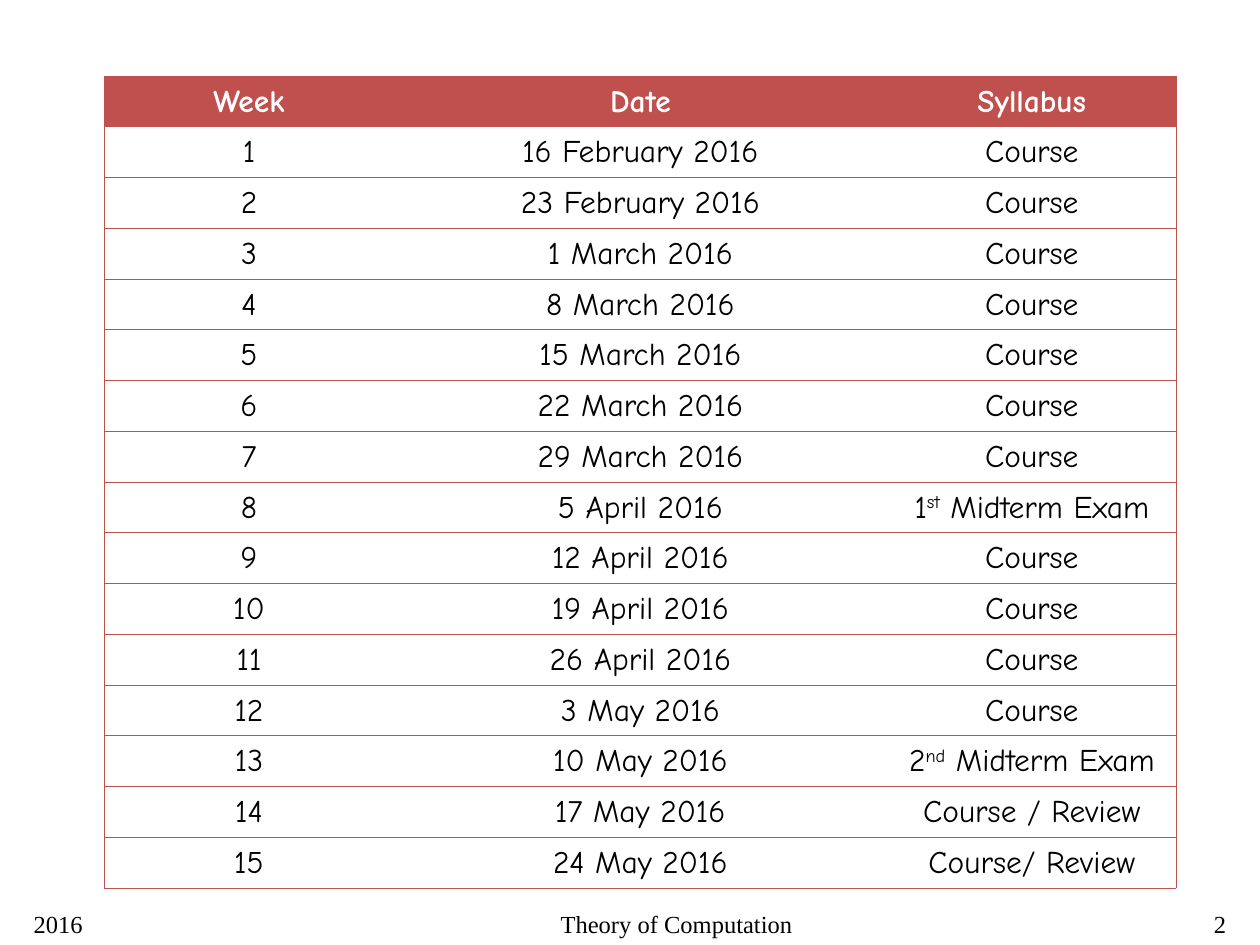
"""Builds the weekly course schedule slide."""
from dataclasses import dataclass

from lxml import etree
from pptx import Presentation
from pptx.dml.color import RGBColor
from pptx.enum.text import MSO_ANCHOR, PP_ALIGN
from pptx.oxml.ns import qn
from pptx.util import Cm, Pt

LEFT, CENTER, RIGHT = PP_ALIGN.LEFT, PP_ALIGN.CENTER, PP_ALIGN.RIGHT
BOTTOM = MSO_ANCHOR.BOTTOM


@dataclass(frozen=True)
class Theme:
    accent: str = "C0504D"
    ink: str = "000000"
    paper: str = "FFFFFF"
    table_font: str = "Comic Neue"
    footer_font: str = "Times New Roman"
    table_size: int = 18
    footer_size: int = 14
    border_width: float = 0.23


HEADINGS = ["Week", "Date", "Syllabus"]
DATES = [
    "16 February", "23 February", "1 March", "8 March", "15 March",
    "22 March", "29 March", "5 April", "12 April", "19 April",
    "26 April", "3 May", "10 May", "17 May", "24 May",
]
SPECIAL_WEEKS = {
    8: "1^st^ Midterm Exam",
    13: "2^nd^ Midterm Exam",
    14: "Course / Review",
    15: "Course/ Review",
}
COLUMN_WIDTHS = [5.82, 9.96, 5.82]
HEADER_HEIGHT, ROW_HEIGHT = 0.84, 1.01
FOOTER_TOP, FOOTER_HEIGHT = 18.21, 0.84


class SlideBuilder:
    def __init__(self, page, theme):
        self.page = page
        self.theme = theme

    def format_span(self, span, font, size, color, bold=False):
        span.font.name = font
        span.font.size = Pt(size)
        span.font.bold = bold
        span.font.color.rgb = RGBColor.from_string(color)

    def footer(self, text, left, width, alignment):
        box = self.page.shapes.add_textbox(
            Cm(left), Cm(FOOTER_TOP), Cm(width), Cm(FOOTER_HEIGHT))
        box.text_frame.word_wrap = True
        box.text_frame.text = text
        para = box.text_frame.paragraphs[0]
        para.alignment = alignment
        self.format_span(para.runs[0], self.theme.footer_font,
                         self.theme.footer_size, self.theme.ink)

    def borders(self, cell, visible):
        properties = cell._tc.get_or_add_tcPr()
        for position, side in enumerate("LRTB"):
            line = etree.Element(qn(f"a:ln{side}"))
            if side in visible:
                line.set("w", str(Pt(self.theme.border_width)))
                fill = etree.SubElement(line, qn("a:solidFill"))
                etree.SubElement(fill, qn("a:srgbClr"), val=self.theme.accent)
            else:
                etree.SubElement(line, qn("a:noFill"))
            properties.insert(position, line)

    def cell(self, cell, text, is_header, visible):
        theme = self.theme
        cell.vertical_anchor = BOTTOM
        cell.margin_left = cell.margin_right = Cm(0.03)
        cell.margin_top = cell.margin_bottom = Cm(0.13)
        if is_header:
            cell.fill.solid()
            cell.fill.fore_color.rgb = RGBColor.from_string(theme.accent)
        else:
            cell.fill.background()
        self.borders(cell, visible)

        para = cell.text_frame.paragraphs[0]
        para.alignment = CENTER
        for index, part in enumerate(text.split("^")):
            span = para.add_run()
            span.text = part
            self.format_span(span, theme.table_font, theme.table_size,
                             theme.paper if is_header else theme.ink, is_header)
            if index % 2:
                span._r.get_or_add_rPr().set("baseline", "30000")

    def table(self, rows, left, top):
        height = HEADER_HEIGHT + ROW_HEIGHT * (len(rows) - 1)
        table = self.page.shapes.add_table(
            len(rows), len(COLUMN_WIDTHS), Cm(left), Cm(top),
            Cm(sum(COLUMN_WIDTHS)), Cm(height)).table
        table.horz_banding = False
        for column, width in zip(table.columns, COLUMN_WIDTHS):
            column.width = Cm(width)
        edges = ["LTB", "TB", "RTB"]
        for row_index, values in enumerate(rows):
            is_header = row_index == 0
            table.rows[row_index].height = Cm(
                HEADER_HEIGHT if is_header else ROW_HEIGHT)
            for column_index, text in enumerate(values):
                self.cell(table.cell(row_index, column_index), text,
                          is_header, edges[column_index])


def main():
    deck = Presentation()
    deck.slide_width, deck.slide_height = Cm(25.4), Cm(19.05)
    page = deck.slides.add_slide(deck.slide_layouts[6])
    builder = SlideBuilder(page, Theme())

    builder.footer("2", 19.69, 5.28, RIGHT)
    builder.footer("2016", 0.43, 4.45, LEFT)
    builder.footer("Theory of Computation", 5.92, 15.44, CENTER)

    schedule = [
        [str(week), f"{date} 2016", SPECIAL_WEEKS.get(week, "Course")]
        for week, date in enumerate(DATES, start=1)
    ]
    builder.table([HEADINGS] + schedule, 2.11, 1.53)
    deck.save("out.pptx")


if __name__ == "__main__":
    main()
